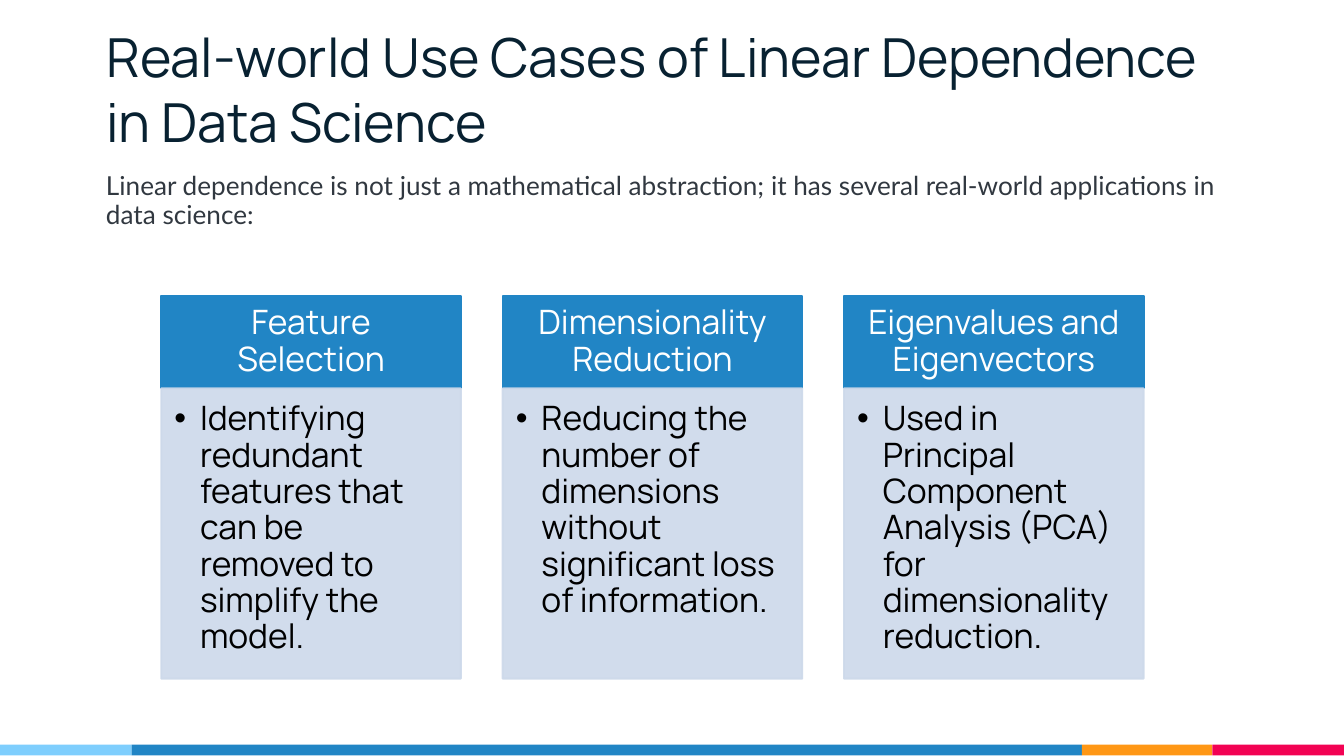
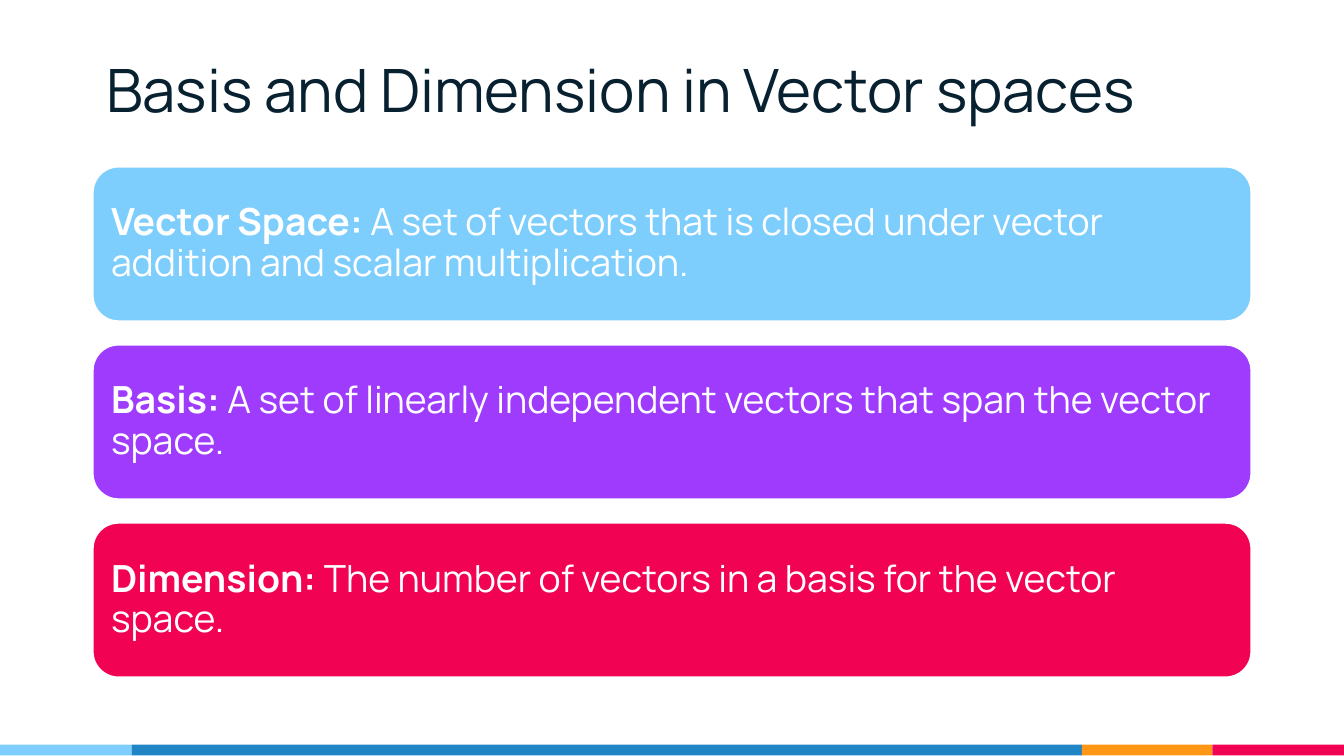
from pptx import Presentation
from pptx.dml.color import RGBColor
from pptx.enum.shapes import MSO_SHAPE
from pptx.enum.text import MSO_ANCHOR, MSO_AUTO_SIZE, PP_ALIGN
from pptx.oxml.ns import qn
from pptx.util import Inches, Pt
from lxml.etree import SubElement

INK = RGBColor(0x08, 0x21, 0x31)
GREY = RGBColor(0x31, 0x38, 0x40)
BLACK = RGBColor(0, 0, 0)
WHITE = RGBColor(0xFF, 0xFF, 0xFF)
SKY = RGBColor(0x7E, 0xCE, 0xFD)
BLUE = RGBColor(0x21, 0x85, 0xC5)
PALE = RGBColor(0xCD, 0xD9, 0xEA)
PLUM = RGBColor(0x9F, 0x3B, 0xFD)
ROSE = RGBColor(0xF2, 0x02, 0x53)
GOLD = RGBColor(0xFF, 0x97, 0x15)

BANDS = [(SKY, 0.98), (BLUE, 7.07), (GOLD, 0.97), (ROSE, 0.98)]
LEFT, WIDE = 0.69, 8.62

CASES = {
    "title": ("Real-world Use Cases of Linear Dependence in Data Science", 28.8),
    "intro": "Linear dependence is not just a mathematical abstraction; "
             "it has several real-world applications in data science:",
    "cards": [
        ("Feature Selection",
         "Identifying redundant features that can be removed to simplify the model."),
        ("Dimensionality Reduction",
         "Reducing the number of dimensions without significant loss of information."),
        ("Eigenvalues and Eigenvectors",
         "Used in Principal Component Analysis (PCA) for dimensionality reduction."),
    ],
}
TERMS = {
    "title": ("Basis and Dimension in Vector spaces", 32),
    "rows": [
        (SKY, "Vector Space:",
         " A set of vectors that is closed under vector addition and scalar multiplication."),
        (PLUM, "Basis:",
         " A set of linearly independent vectors that span the vector space."),
        (ROSE, "Dimension:",
         " The number of vectors in a basis for the vector space."),
    ],
}


def assign(item, values):
    """Set each named attribute of an item."""
    for name, value in values.items():
        setattr(item, name, value)


def write(shape, runs, size, color, face="Manrope", pad=(0.1, 0.05, 0.1, 0.05),
          anchor=MSO_ANCHOR.MIDDLE, align=PP_ALIGN.LEFT, lead=0.9):
    """Fill a shape with one paragraph of (text, bold) runs."""
    frame = shape.text_frame
    sides = ("margin_left", "margin_top", "margin_right", "margin_bottom")
    assign(frame, {"word_wrap": True, "auto_size": MSO_AUTO_SIZE.NONE,
                   "vertical_anchor": anchor, **dict(zip(sides, map(Inches, pad)))})
    para = frame.paragraphs[0]
    assign(para, {"alignment": align, "line_spacing": lead})
    for text, bold in runs:
        run = para.add_run()
        run.text = text
        assign(run.font, {"name": face, "size": Pt(size), "bold": bold})
        run.font.color.rgb = color
    return para


def block(slide, box, fill, line=None, kind=MSO_SHAPE.RECTANGLE):
    """Add a flat shape with an optional one-point outline."""
    shape = slide.shapes.add_shape(kind, *map(Inches, box))
    shape.shadow.inherit = False
    shape.fill.solid()
    shape.fill.fore_color.rgb = fill
    if line is None:
        shape.line.fill.background()
    else:
        shape.line.color.rgb = line
        shape.line.width = Pt(1)
    return shape


def fade(shape, percent):
    """Give the fill and outline of a shape an opacity."""
    for color in shape._element.spPr.iter(qn("a:srgbClr")):
        SubElement(color, qn("a:alpha"), val=str(percent * 1000))


def bullet(para, indent):
    """Give a paragraph a round bullet with a hanging indent."""
    props = para._p.get_or_add_pPr()
    props.set("marL", str(Inches(indent)))
    props.set("indent", str(-Inches(indent)))
    SubElement(props, qn("a:buFont"), typeface="Arial")
    SubElement(props, qn("a:buChar"), char="•")


def start(deck, title, size):
    """Add a slide with the shared title style and footer bands."""
    slide = deck.slides.add_slide(deck.slide_layouts[5])
    x = 0
    for color, wide in BANDS:
        block(slide, (x, 5.54, wide, 0.08), color)
        x += wide
    head = slide.shapes.title
    assign(head, {"left": Inches(LEFT), "top": Inches(0.3),
                  "width": Inches(WIDE), "height": Inches(0.72)})
    write(head, [(title, False)], size, INK, lead=1.0)
    return slide


def cases(deck):
    """Build the slide of three use-case cards."""
    slide = start(deck, *CASES["title"])
    intro = slide.shapes.add_textbox(*map(Inches, (LEFT, 1.24, WIDE, 3.81)))
    write(intro, [(CASES["intro"], False)], 14, GREY, "Lato", anchor=MSO_ANCHOR.TOP)
    for i, (name, text) in enumerate(CASES["cards"]):
        x = 1.2 + 2.54 * i
        head = block(slide, (x, 2.2, 2.23, 0.69), BLUE, BLUE)
        write(head, [(name, False)], 18, WHITE, pad=(0.14, 0.08, 0.14, 0.08),
              align=PP_ALIGN.CENTER)
        body = block(slide, (x, 2.89, 2.23, 2.16), PALE, PALE)
        fade(body, 90)
        para = write(body, [(text, False)], 18, BLACK, pad=(0.1, 0.1, 0.14, 0.16),
                     anchor=MSO_ANCHOR.TOP)
        bullet(para, 0.19)


def terms(deck):
    """Build the slide of three defined terms."""
    slide = start(deck, *TERMS["title"])
    top, last = 1.24, 3.89
    step = (last - top) / (len(TERMS["rows"]) - 1)
    for i, (color, term, text) in enumerate(TERMS["rows"]):
        row = block(slide, (LEFT, top + step * i, WIDE, 1.15), color, WHITE,
                    MSO_SHAPE.ROUNDED_RECTANGLE)
        write(row, [(term, True), (text, False)], 20, WHITE, pad=(0.08,) * 4)


def main():
    """Build and save the deck."""
    deck = Presentation()
    wide = Inches(10)
    assign(deck, {"slide_width": wide, "slide_height": wide * 9 // 16})
    cases(deck)
    terms(deck)
    deck.save("out.pptx")


if __name__ == "__main__":
    main()
